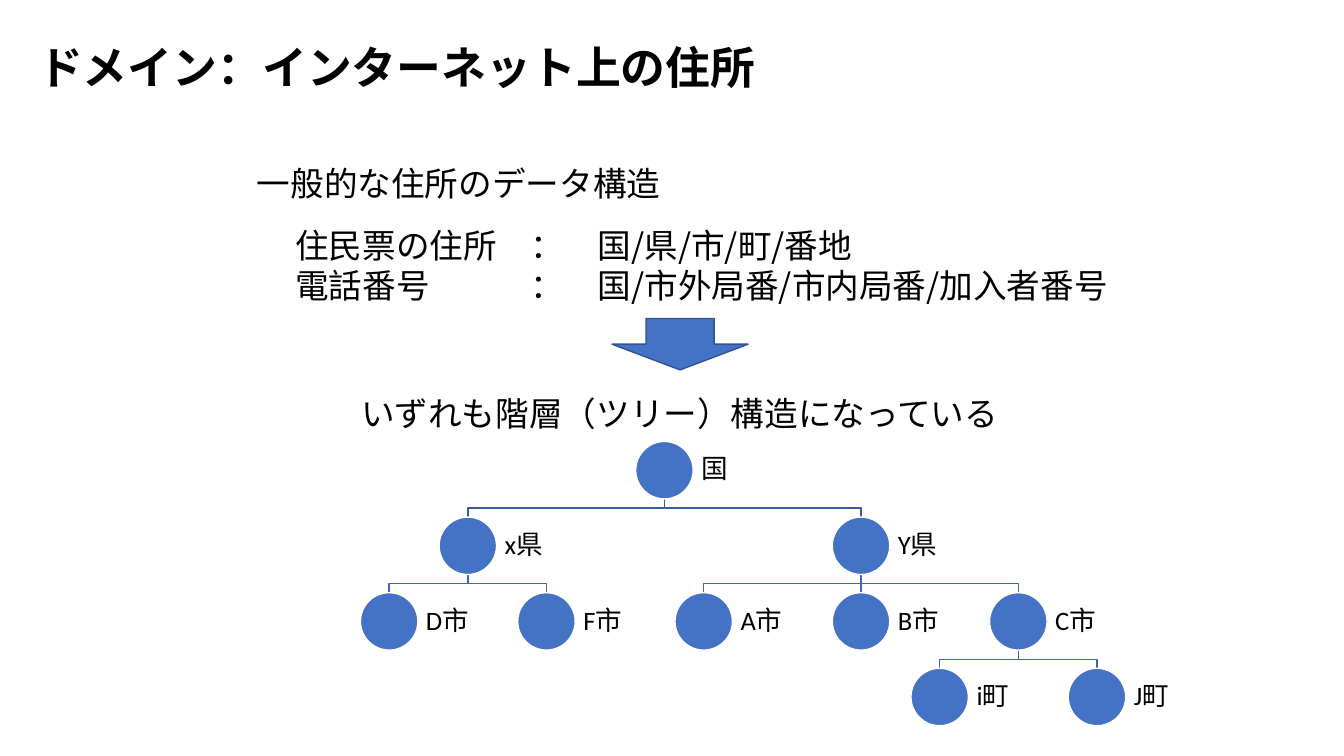
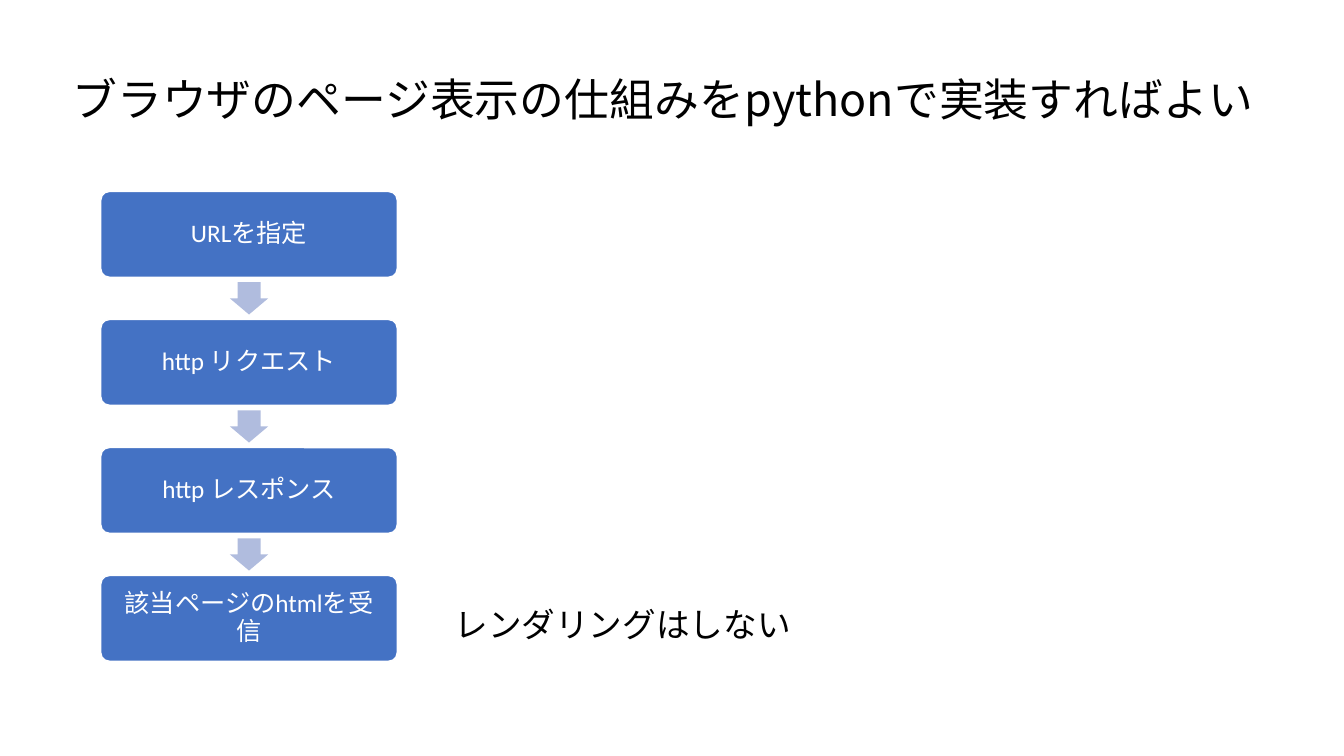
import lxml.etree
import pptx
import pptx.dml.color
import pptx.enum.shapes
import pptx.enum.text
import pptx.oxml.ns
import pptx.util

PX = 9144  # one hundredth of an inch
COLOURS = {
    "text": "000000",
    "white": "FFFFFF",
    "blue": "4472C4",
    "arrow_edge": "325491",
    "pale_arrow": "B0BCDE",
    "upper_branch": "365B9D",
    "lower_branch": "3E67B2",
}
JAPANESE = "Noto Sans CJK JP"
LATIN = "Calibri"
TITLE_SIZE, BODY_SIZE, NODE_SIZE, STEP_SIZE = 32, 24, 19, 18

SHAPE = pptx.enum.shapes.MSO_SHAPE
ALIGN = pptx.enum.text.PP_ALIGN
ANCHOR = pptx.enum.text.MSO_ANCHOR

# name: (column, level, parent)
TREE = {
    "国": (3.5, 0, None),
    "x県": (1, 1, "国"),
    "Y県": (6, 1, "国"),
    "D市": (0, 2, "x県"),
    "F市": (2, 2, "x県"),
    "A市": (4, 2, "Y県"),
    "B市": (6, 2, "Y県"),
    "C市": (8, 2, "Y県"),
    "i町": (7, 3, "C市"),
    "J町": (9, 3, "C市"),
}
TREE_LEFT, TREE_TOP = 386, 438
COLUMN_STEP, LEVEL_STEP, NODE_DIAMETER = 78, 75, 57

STEPS = ["URLを指定", "http リクエスト", "http レスポンス", "該当ページのhtmlを受信"]
STEP_LEFT, STEP_TOP, STEP_WIDTH, STEP_HEIGHT, STEP_PITCH = 100, 190, 294, 85, 127
ARROW_WIDTH, ARROW_HEIGHT = 38, 32


def colour(name):
    return pptx.dml.color.RGBColor.from_string(COLOURS[name])


def emu(*lengths):
    return [round(length * PX) for length in lengths]


def add_span(para, words, size, font=JAPANESE, ink="text", bold=False):
    span = para.add_run()
    span.text = words
    span.font.name = font
    span.font.size = pptx.util.Pt(size)
    span.font.bold = bold
    span.font.color.rgb = colour(ink)
    east_asian = lxml.etree.SubElement(
        span.font._element, pptx.oxml.ns.qn("a:ea"))
    east_asian.set("typeface", JAPANESE)


def add_tab_stops(para, stops):
    tabs = lxml.etree.SubElement(
        para._p.get_or_add_pPr(), pptx.oxml.ns.qn("a:tabLst"))
    for position in emu(*stops):
        tab = lxml.etree.SubElement(tabs, pptx.oxml.ns.qn("a:tab"))
        tab.set("pos", str(position))
        tab.set("algn", "l")


def add_text(page, place, lines, size=BODY_SIZE, bold=False, align=ALIGN.LEFT, stops=()):
    frame = page.shapes.add_textbox(*emu(*place)).text_frame
    frame.word_wrap = True
    for index, line in enumerate(lines):
        para = frame.add_paragraph() if index else frame.paragraphs[0]
        para.alignment = align
        if stops:
            add_tab_stops(para, stops)
        add_span(para, line, size, bold=bold)


def add_title(page, place, words, bold=False):
    add_text(page, place, [words], TITLE_SIZE, bold)


def add_diagram_label(box, words, size, inset, ink, align):
    """Write vertically centred, tightly spaced text in a diagram box."""
    frame = box.text_frame
    frame.word_wrap = True
    frame.vertical_anchor = ANCHOR.MIDDLE
    frame.margin_left = frame.margin_right = inset * PX
    frame.margin_top = frame.margin_bottom = inset * PX
    para = frame.paragraphs[0]
    para.alignment = align
    para.line_spacing = 0.9
    add_span(para, words, size, LATIN, ink)


def add_filled(page, kind, place, fill, edge=None, adjustments=()):
    shape = page.shapes.add_shape(kind, *emu(*place))
    shape.shadow.inherit = False
    shape.fill.solid()
    shape.fill.fore_color.rgb = colour(fill)
    if edge:
        shape.line.color.rgb = colour(edge)
        shape.line.width = pptx.util.Pt(1)
    else:
        shape.line.fill.background()
    for index, value in enumerate(adjustments):
        shape.adjustments[index] = value
    return shape


def node_place(name):
    """Give the centre x and the top y of a tree node."""
    column, level, _ = TREE[name]
    return TREE_LEFT + round(COLUMN_STEP * column), TREE_TOP + LEVEL_STEP * level


def add_branch(page, parent, child):
    start_x, start_y = node_place(parent)
    end_x, end_y = node_place(child)
    start_y += NODE_DIAMETER
    if start_x == end_x:
        line = page.shapes.add_connector(
            pptx.enum.shapes.MSO_CONNECTOR.STRAIGHT,
            *emu(start_x, start_y, end_x, end_y))
        lxml.etree.SubElement(
            line._element.spPr, pptx.oxml.ns.qn("a:effectLst"))
    else:
        middle_y = (start_y + end_y) // 2
        builder = page.shapes.build_freeform(start_x, start_y, scale=PX)
        builder.add_line_segments(
            [(start_x, middle_y), (end_x, middle_y), (end_x, end_y)], close=False)
        line = builder.convert_to_shape()
        line.shadow.inherit = False
        line.fill.background()
    line.line.width = pptx.util.Pt(1)
    level = TREE[child][1]
    line.line.color.rgb = colour("upper_branch" if level == 1 else "lower_branch")


def add_node(page, name):
    centre, top = node_place(name)
    left = centre - NODE_DIAMETER / 2
    add_filled(page, SHAPE.OVAL, (left, top, NODE_DIAMETER, NODE_DIAMETER),
               "blue", "white")
    label = page.shapes.add_textbox(
        *emu(left + NODE_DIAMETER, top, 85, NODE_DIAMETER))
    add_diagram_label(label, name, NODE_SIZE, 8, "text", ALIGN.LEFT)


def add_tree(page):
    for name, (_, _, parent) in TREE.items():
        if parent:
            add_branch(page, parent, name)
    for name in TREE:
        add_node(page, name)


def add_flow(page):
    for index, words in enumerate(STEPS):
        top = STEP_TOP + STEP_PITCH * index
        if index:
            gap = STEP_PITCH - STEP_HEIGHT
            add_filled(page, SHAPE.DOWN_ARROW,
                       (STEP_LEFT + (STEP_WIDTH - ARROW_WIDTH) / 2,
                        top - (gap + ARROW_HEIGHT) / 2,
                        ARROW_WIDTH, ARROW_HEIGHT),
                       "pale_arrow", adjustments=(0.6, 0.5))
        box = add_filled(page, SHAPE.ROUNDED_RECTANGLE,
                         (STEP_LEFT, top, STEP_WIDTH, STEP_HEIGHT),
                         "blue", "white", (0.1,))
        add_diagram_label(box, words, STEP_SIZE, 9, "white", ALIGN.CENTER)


def build_domain_page(page):
    add_title(page, (28, 34, 752, 64), "ドメイン：インターネット上の住所", bold=True)
    add_text(page, (245, 157, 652, 50), ["一般的な住所のデータ構造"])
    add_text(page, (283, 218, 947, 91),
             ["住民票の住所\t：\t国/県/市/町/番地",
              "電話番号\t：\t国/市外局番/市内局番/加入者番号"],
             stops=(233, 300))
    add_filled(page, SHAPE.DOWN_ARROW, (607, 316, 135, 51), "blue", "arrow_edge")
    add_text(page, (320, 385, 708, 50),
             ["いずれも階層（ツリー）構造になっている"], align=ALIGN.CENTER)
    add_tree(page)


def build_browser_page(page):
    add_title(page, (62, 66, 1204, 64),
              "ブラウザのページ表示の仕組みをpythonで実装すればよい")
    add_flow(page)
    add_text(page, (441, 594, 357, 50), ["レンダリングはしない"])


def main():
    deck = pptx.Presentation()
    deck.slide_width, deck.slide_height = emu(1333, 750)
    blank = deck.slide_layouts[6]
    for build in (build_domain_page, build_browser_page):
        build(deck.slides.add_slide(blank))
    deck.save("out.pptx")


if __name__ == "__main__":
    main()
